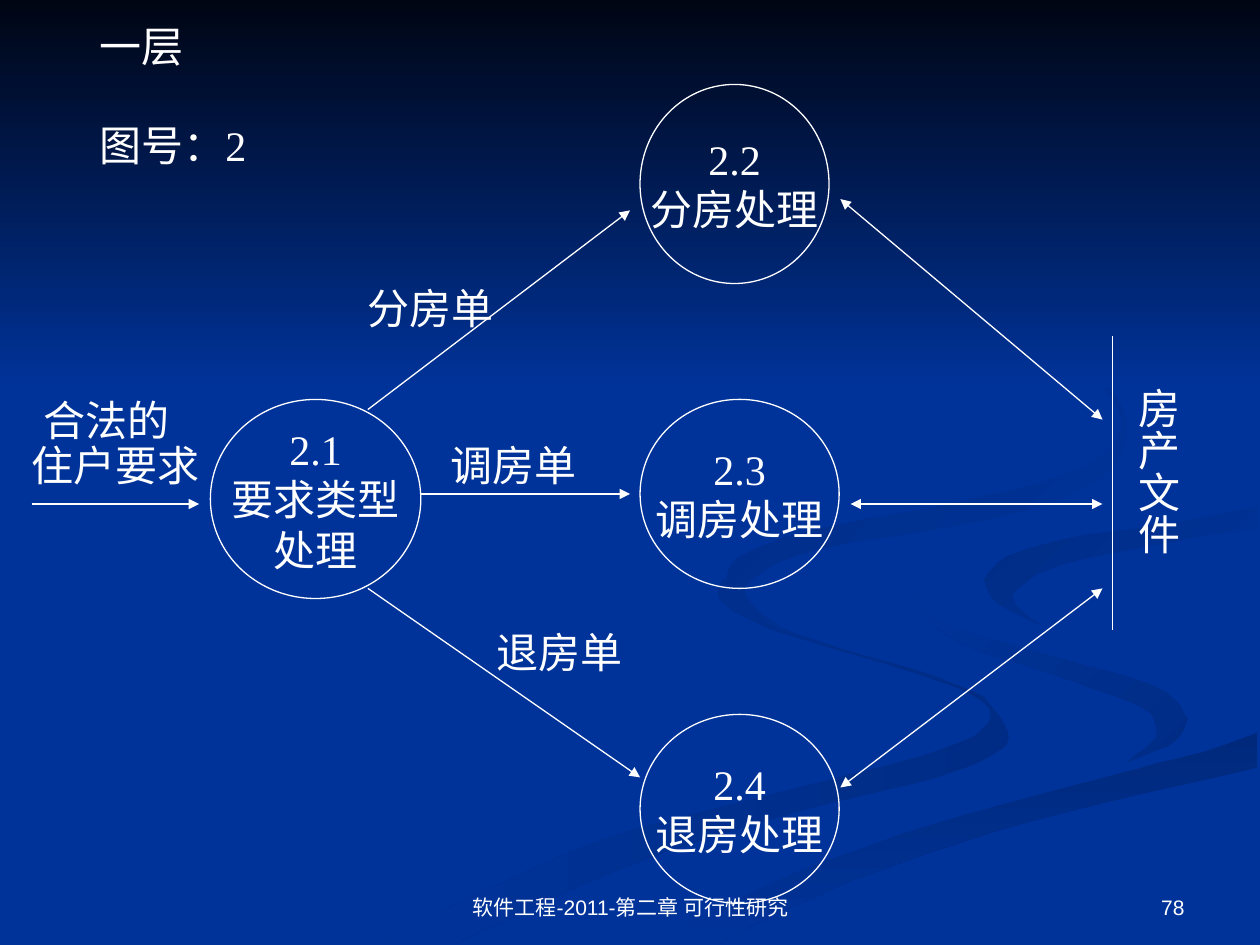
import pptx
import pptx.dml.color
import pptx.enum.shapes
import pptx.enum.text
import pptx.oxml.ns
import pptx.util
from lxml import etree
from pptx.util import Inches

WHITE = pptx.dml.color.RGBColor(0xFF, 0xFF, 0xFF)
BLUE = pptx.dml.color.RGBColor(0x00, 0x33, 0x99)
NIGHT = pptx.dml.color.RGBColor(0x00, 0x05, 0x14)
SHADE = pptx.dml.color.RGBColor(0x00, 0x2C, 0x85)
DEEP_SHADE = pptx.dml.color.RGBColor(0x00, 0x29, 0x7C)

ALIGN = pptx.enum.text.PP_ALIGN
ANCHOR = pptx.enum.text.MSO_ANCHOR
FIT = pptx.enum.text.MSO_AUTO_SIZE.SHAPE_TO_FIT_TEXT
LABEL_FONT = {"name": "Times New Roman", "size": pptx.util.Pt(24)}
FOOTER_FONT = {"name": "Arial", "size": pptx.util.Pt(12)}
LABEL_FRAME = {"word_wrap": False, "auto_size": FIT}
TITLE_FRAME = {"word_wrap": True}
PROCESS_FRAME = {"word_wrap": False, "vertical_anchor": ANCHOR.MIDDLE}
FOOTER_FRAME = {"word_wrap": True, "vertical_anchor": ANCHOR.BOTTOM}
VERTICAL_FRAME = LABEL_FRAME | {
    "margin_left": Inches(0.05), "margin_right": Inches(0.05),
    "margin_top": Inches(0.1), "margin_bottom": Inches(0.1)}

HUNDREDTH = Inches(0.01)
CURVE_STEPS = 5
CHARACTER_WIDTH = 1 / 3
LABEL_HEIGHT = 0.5

CURL_CREST = [(724, 464), (733, 483), (758, 498), (830, 519), (905, 540),
              (930, 553), (943, 570)]
CURL_HOOK = [(943, 570), (932, 589), (894, 605)]
CURL_INSIDE = [(894, 605), (914, 589), (918, 581), (907, 562), (838, 536),
               (766, 512), (733, 488), (724, 464)]
BAND_TOP = [(519, 747), (630, 693), (764, 647), (903, 610), (963, 594), (998, 581)]
BAND_BOTTOM = [(998, 609), (821, 651), (695, 692), (614, 726), (571, 749)]
BAND_FOOT = [(571, 749), (503, 749), (519, 747)]
TIP_BANK = [(781, 460), (799, 442), (850, 427), (933, 415), (998, 402)]
TIP_OUTSIDE = [(998, 420), (936, 429), (843, 448), (809, 466), (806, 480), (826, 496)]
TIP_END = [(826, 496), (791, 478), (781, 460)]
RIVER_LEFT = [(894, 605), (780, 634), (619, 684), (477, 749)]
RIVER_RIGHT = [(998, 538), (904, 519), (832, 498), (786, 473), (781, 460)]
RIVER_TOP = [(998, 387), (920, 401), (788, 422), (732, 446), (724, 464)]
LOWER_INSIDE = [(781, 553), (731, 533), (661, 513), (614, 496), (583, 477), (575, 459)]
LOWER_LEFT = [(575, 459), (572, 476), (611, 499), (697, 525), (762, 547), (786, 566),
              (767, 587), (699, 609), (579, 639), (458, 674), (300, 749)]
LOWER_RIGHT = [(361, 749), (499, 687), (623, 647), (740, 618), (791, 597),
               (800, 581), (781, 553)]
UPPER_INSIDE = [(762, 233), (846, 279), (885, 320), (886, 348), (852, 374), (763, 398),
                (649, 420), (589, 441), (577, 462), (590, 484), (622, 500)]
UPPER_OUTSIDE = [(622, 500), (597, 480), (596, 461), (649, 436), (786, 412),
                 (867, 384), (894, 344), (873, 299), (799, 250), (762, 233)]

LOWER_CURL = [LOWER_INSIDE, LOWER_LEFT, LOWER_RIGHT]
RIGHT_CURL = [CURL_CREST, CURL_HOOK, CURL_INSIDE]
BOTTOM_BAND = [BAND_TOP, BAND_BOTTOM, BAND_FOOT[:2]]
RIVER = [CURL_CREST, CURL_HOOK, RIVER_LEFT, BAND_FOOT[1:], BAND_TOP,
         RIVER_RIGHT, TIP_BANK, RIVER_TOP]
RIGHT_TIP = [TIP_BANK, TIP_OUTSIDE, TIP_END]
UPPER_CURL = [UPPER_INSIDE, UPPER_OUTSIDE]
SKY = [[(0, 0), (1000, 0)], [(1000, 308), (0, 308)]]


def apply_formats(target, formats):
    """Set each named format value on the target."""
    for name, value in formats.items():
        setattr(target, name, value)


def smooth_edge(knots):
    """Return points on a Catmull-Rom curve through the knots."""
    if len(knots) == 2:
        return knots
    padded = [knots[0], *knots, knots[-1]]
    points = [knots[0]]
    for segment in zip(padded, padded[1:], padded[2:], padded[3:]):
        for step in range(1, CURVE_STEPS + 1):
            t = step / CURVE_STEPS
            points.append(tuple(
                b + t * (c - a) / 2 + t * t * (a - 2.5 * b + 2 * c - d / 2)
                + t ** 3 * (3 * b - a - 3 * c + d) / 2
                for a, b, c, d in zip(*segment)))
    return points


def add_backdrop(slide, edges, colors, angle=0):
    """Draw a closed outline of curved edges, filled plainly or with a gradient."""
    start, *rest = [point for edge in edges for point in smooth_edge(edge)]
    builder = slide.shapes.build_freeform(*start, scale=HUNDREDTH)
    builder.add_line_segments(rest, close=True)
    backdrop = builder.convert_to_shape()
    backdrop.shadow.inherit = False
    backdrop.line.fill.background()
    if len(colors) == 1:
        backdrop.fill.solid()
        backdrop.fill.fore_color.rgb = colors[0]
        return
    backdrop.fill.gradient()
    backdrop.fill.gradient_angle = angle
    for position, (stop, color) in enumerate(zip(backdrop.fill.gradient_stops, colors)):
        stop.position = position
        stop.color.rgb = color


def write_lines(frame, lines, frame_formats, font, align, gap=0):
    """Write white paragraphs into a text frame."""
    apply_formats(frame, frame_formats)
    for index, line in enumerate(lines):
        paragraph = frame.add_paragraph() if index else frame.paragraphs[0]
        paragraph.alignment = align
        if index and gap:
            paragraph.space_before = pptx.util.Pt(gap)
        run = paragraph.add_run()
        run.text = line
        apply_formats(run.font, font)
        run.font.color.rgb = WHITE


def add_label(slide, box, lines, frame_formats=LABEL_FRAME, font=LABEL_FONT,
              align=ALIGN.LEFT, gap=0):
    """Add a text box and return its frame."""
    frame = slide.shapes.add_textbox(*map(Inches, box)).text_frame
    write_lines(frame, lines, frame_formats, font, align, gap)
    return frame


def add_flow_name(slide, left, top, name):
    """Add a data flow name in a box as wide as its characters."""
    width = len(name) * CHARACTER_WIDTH + 0.2
    add_label(slide, (left, top, width, LABEL_HEIGHT), [name])


def style_line(line):
    """Give a line the thin white stroke of the diagram."""
    line.color.rgb = WHITE
    line.width = pptx.util.Pt(0.75)


def add_process(slide, box, lines):
    """Add an outlined process bubble."""
    bubble = slide.shapes.add_shape(
        pptx.enum.shapes.MSO_SHAPE.OVAL, *map(Inches, box))
    bubble.shadow.inherit = False
    bubble.fill.background()
    style_line(bubble.line)
    write_lines(bubble.text_frame, lines, PROCESS_FRAME, LABEL_FONT, ALIGN.CENTER)


def add_flow(slide, ends, arrows=()):
    """Add a straight line with triangles at the named ends."""
    flow = slide.shapes.add_connector(
        pptx.enum.shapes.MSO_CONNECTOR.STRAIGHT, *map(Inches, ends))
    style_line(flow.line)
    properties = flow._element.spPr
    outline = properties.find(pptx.oxml.ns.qn("a:ln"))
    for arrow in arrows:
        etree.SubElement(outline, pptx.oxml.ns.qn(f"a:{arrow}"), type="triangle")
    etree.SubElement(properties, pptx.oxml.ns.qn("a:effectLst"))


def main():
    """Build the data flow slide."""
    deck = pptx.Presentation()
    apply_formats(deck, {"slide_width": Inches(10), "slide_height": Inches(7.5)})
    slide = deck.slides.add_slide(deck.slide_layouts[6])
    slide.background.fill.solid()
    slide.background.fill.fore_color.rgb = BLUE

    for edges, colors, angle in [
            (LOWER_CURL, [SHADE, BLUE], 180), (RIGHT_CURL, [SHADE, BLUE], 135),
            (BOTTOM_BAND, [DEEP_SHADE, BLUE], 270), (RIVER, [BLUE], 0),
            (RIGHT_TIP, [BLUE, SHADE], 135), (UPPER_CURL, [BLUE, SHADE], 135),
            (SKY, [NIGHT, BLUE], 270)]:
        add_backdrop(slide, edges, colors, angle)

    for box, lines in [
            ((1.67, 3.17, 1.67, 1.58), ["2.1", "要求类型", "处理"]),
            ((5.08, 5.67, 1.58, 1.5), ["2.4", "退房处理"]),
            ((5.08, 3.17, 1.58, 1.5), ["2.3", "调房处理"]),
            ((5.08, 0.67, 1.5, 1.58), ["2.2", "分房处理"])]:
        add_process(slide, box, lines)

    add_flow(slide, (8.83, 2.67, 8.83, 5))
    for ends in [(0.25, 4, 1.58, 4), (2.92, 3.25, 5, 1.67),
                 (3.33, 3.92, 5, 3.92), (2.92, 4.67, 5.08, 6.17)]:
        add_flow(slide, ends, ["tailEnd"])
    for ends in [(6.67, 1.58, 8.75, 3.33), (6.75, 4, 8.75, 4), (6.67, 6.25, 8.75, 4.67)]:
        add_flow(slide, ends, ["headEnd", "tailEnd"])

    for left, top, name in [
            (0.15, 3.44, "住户要求"), (0.25, 3.08, "合法的"), (2.82, 2.19, "分房单"),
            (3.48, 3.44, "调房单"), (3.84, 4.92, "退房单")]:
        add_flow_name(slide, left, top, name)
    store = add_label(slide, (8.84, 2.98, 0.6, 1.44), ["房产文件"], VERTICAL_FRAME)
    store._txBody.bodyPr.set("vert", "eaVert")
    add_label(slide, (0.69, 0.11, 1.8, 1.3), ["一层", "图号：2"], TITLE_FRAME, gap=28)

    for box, text, align in [
            ((3.42, 6.83, 3.17, 0.52), "软件工程-2011-第二章 可行性研究", ALIGN.CENTER),
            ((7.17, 6.83, 2.33, 0.52), "78", ALIGN.RIGHT)]:
        add_label(slide, box, [text], FOOTER_FRAME, FOOTER_FONT, align)
    deck.save("out.pptx")


if __name__ == "__main__":
    main()
